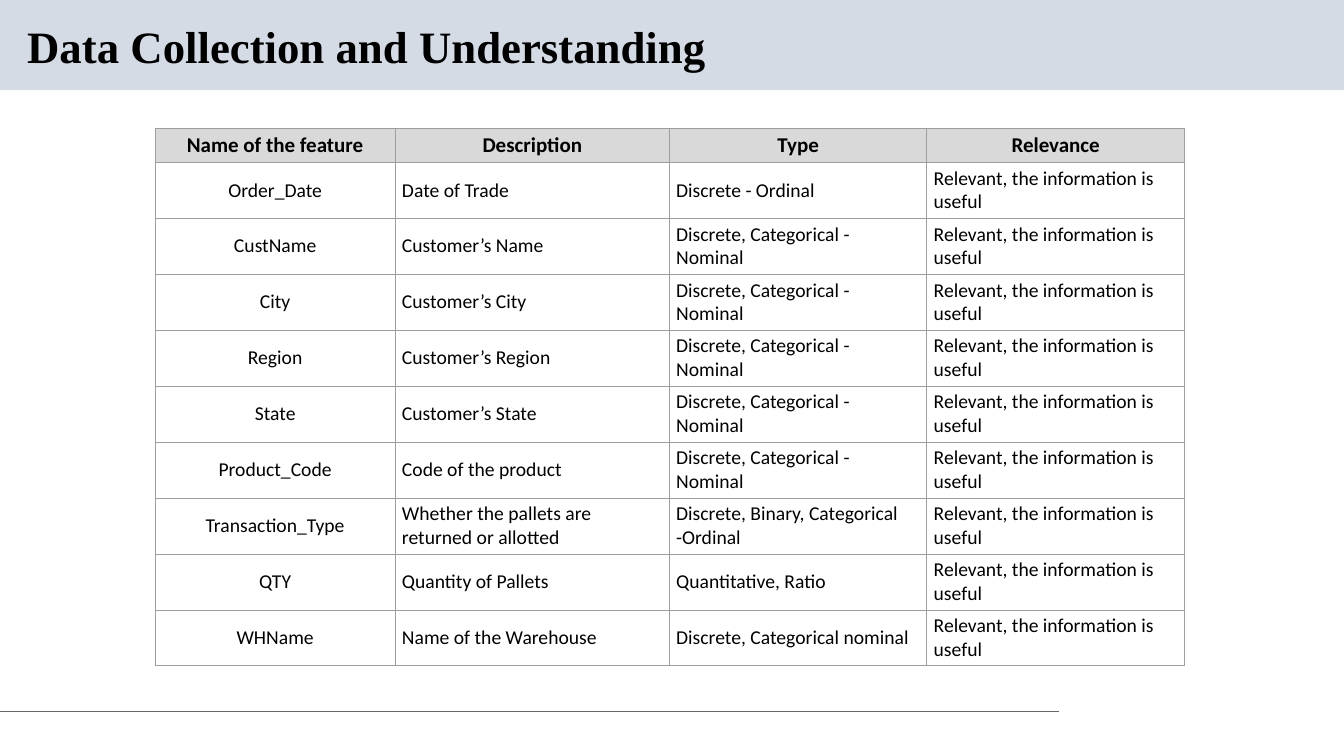
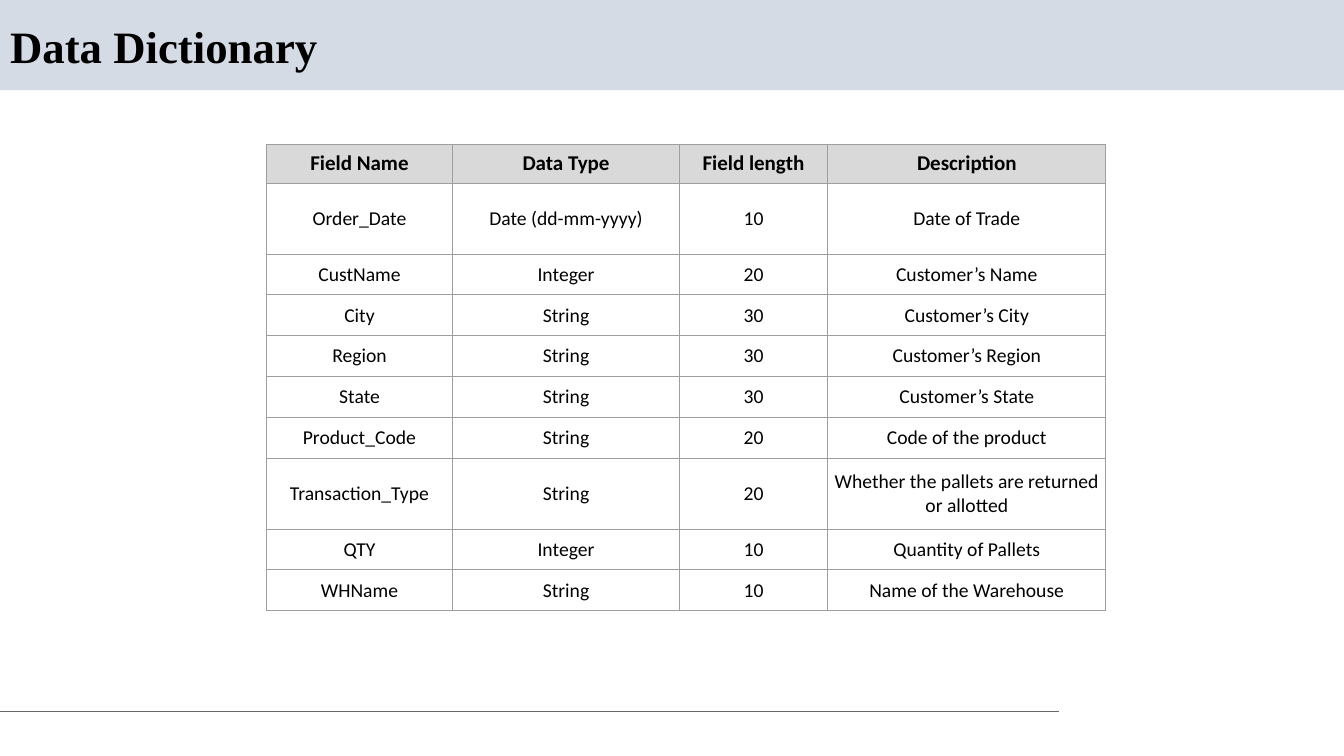
from dataclasses import dataclass

import lxml.etree
import pptx
import pptx.dml.color
import pptx.enum.shapes
import pptx.enum.text
import pptx.oxml.ns
import pptx.presentation
import pptx.slide
import pptx.table
import pptx.text.text
import pptx.util
from pptx.dml.color import RGBColor
from pptx.util import Cm, Pt

BLACK = RGBColor(0x00, 0x00, 0x00)
BAND_BLUE = RGBColor(0xD5, 0xDB, 0xE5)
RULE_GREY = RGBColor(0x66, 0x66, 0x66)
HEADER_GREY = RGBColor(0xD9, 0xD9, 0xD9)
BORDER_GREY = RGBColor(0x9E, 0x9E, 0x9E)

TITLE_FONT = "Times New Roman"
TABLE_FONT = "Calibri"
SLIDE_WIDTH, SLIDE_HEIGHT = Cm(33.87), Cm(19.05)
TITLE_ONLY = 5

CENTER = pptx.enum.text.PP_ALIGN.CENTER
LEFT = pptx.enum.text.PP_ALIGN.LEFT
MIDDLE = pptx.enum.text.MSO_ANCHOR.MIDDLE

RELEVANCE = "Relevant, the information is useful"
NOMINAL = "Discrete, Categorical - Nominal"


@dataclass(frozen=True)
class Feature:
    name: str
    description: str
    scale: str
    data_type: str
    length: int


@dataclass(frozen=True)
class TableSlide:
    title: str
    title_left: float
    left: float
    top: float
    column_widths: list[float]
    row_heights: list[float]
    alignments: list[pptx.enum.text.PP_ALIGN]
    header: list[str]
    rows: list[list[str]]


FEATURES = [
    Feature("Order_Date", "Date of Trade", "Discrete - Ordinal", "Date (dd-mm-yyyy)", 10),
    Feature("CustName", "Customer’s Name", NOMINAL, "Integer", 20),
    Feature("City", "Customer’s City", NOMINAL, "String", 30),
    Feature("Region", "Customer’s Region", NOMINAL, "String", 30),
    Feature("State", "Customer’s State", NOMINAL, "String", 30),
    Feature("Product_Code", "Code of the product", NOMINAL, "String", 20),
    Feature("Transaction_Type", "Whether the pallets are returned or allotted",
            "Discrete, Binary, Categorical -Ordinal", "String", 20),
    Feature("QTY", "Quantity of Pallets", "Quantitative, Ratio", "Integer", 10),
    Feature("WHName", "Name of the Warehouse", "Discrete, Categorical nominal", "String", 10),
]
TALL_FIELDS = {"Order_Date", "Transaction_Type"}

SLIDES = [
    TableSlide(
        title="Data Collection and Understanding",
        title_left=0.43,
        left=3.91,
        top=3.23,
        column_widths=[6.05, 6.91, 6.49, 6.49],
        row_heights=[0.86] + [1.41] * len(FEATURES),
        alignments=[CENTER, LEFT, LEFT, LEFT],
        header=["Name of the feature", "Description", "Type", "Relevance"],
        rows=[[f.name, f.description, f.scale, RELEVANCE] for f in FEATURES],
    ),
    TableSlide(
        title="Data Dictionary",
        title_left=0,
        left=6.71,
        top=3.63,
        column_widths=[4.7, 5.71, 3.74, 7.01],
        row_heights=[0.99] + [1.78 if f.name in TALL_FIELDS else 1.03 for f in FEATURES],
        alignments=[CENTER] * 4,
        header=["Field Name", "Data Type", "Field length", "Description"],
        rows=[[f.name, f.data_type, str(f.length), f.description] for f in FEATURES],
    ),
]


def add_run(paragraph: pptx.text.text._Paragraph, text: str, font_name: str,
            size: float, bold: bool) -> None:
    run = paragraph.add_run()
    run.text = text
    run.font.name = font_name
    run.font.size = Pt(size)
    run.font.bold = bold
    run.font.color.rgb = BLACK


def move_decoration_to_layout(slide: pptx.slide.Slide) -> None:
    """Draw the title band and footer rule, then hand them to the slide's layout."""
    band = slide.shapes.add_shape(
        pptx.enum.shapes.MSO_SHAPE.RECTANGLE, 0, 0, SLIDE_WIDTH, Cm(2.27))
    band.shadow.inherit = False
    band.fill.solid()
    band.fill.fore_color.rgb = BAND_BLUE
    band.line.fill.background()

    rule_y = Cm(17.93)
    footer_rule = slide.shapes.add_connector(
        pptx.enum.shapes.MSO_CONNECTOR.STRAIGHT, 0, rule_y, Cm(26.7), rule_y)
    footer_rule.line.color.rgb = RULE_GREY
    footer_rule.line.width = Pt(0.75)
    lxml.etree.SubElement(footer_rule.element.spPr, pptx.oxml.ns.qn("a:effectLst"))

    layout_tree = slide.slide_layout.shapes.element
    layout_tree.insert(2, band.element)
    layout_tree.insert(3, footer_rule.element)


def set_title(slide: pptx.slide.Slide, text: str, left: float) -> None:
    title = slide.shapes.title
    title.left, title.top = Cm(left), Cm(0.48)
    title.width, title.height = Cm(29.3), Cm(1.5)
    frame = title.text_frame
    frame.word_wrap = True
    frame.auto_size = pptx.enum.text.MSO_AUTO_SIZE.NONE
    frame.vertical_anchor = MIDDLE
    paragraph = frame.paragraphs[0]
    paragraph.alignment = LEFT
    paragraph.line_spacing = 0.9
    add_run(paragraph, text, TITLE_FONT, 32, True)


def set_borders(cell: pptx.table._Cell) -> None:
    properties = cell._tc.get_or_add_tcPr()
    for position, side in enumerate(("lnL", "lnR", "lnT", "lnB")):
        border = lxml.etree.Element(pptx.oxml.ns.qn(f"a:{side}"), w=str(Pt(0.75)))
        fill = lxml.etree.SubElement(border, pptx.oxml.ns.qn("a:solidFill"))
        lxml.etree.SubElement(fill, pptx.oxml.ns.qn("a:srgbClr"), val=str(BORDER_GREY))
        properties.insert(position, border)


def fill_cell(cell: pptx.table._Cell, text: str,
              alignment: pptx.enum.text.PP_ALIGN, is_header: bool) -> None:
    cell.vertical_anchor = MIDDLE
    cell.margin_left = cell.margin_right = Cm(0.17)
    cell.margin_top = cell.margin_bottom = Cm(0.09)
    if is_header:
        cell.fill.solid()
        cell.fill.fore_color.rgb = HEADER_GREY
    else:
        cell.fill.background()
    set_borders(cell)
    paragraph = cell.text_frame.paragraphs[0]
    paragraph.alignment = CENTER if is_header else alignment
    add_run(paragraph, text, TABLE_FONT, 15 if is_header else 14, is_header)


def add_feature_table(slide: pptx.slide.Slide, content: TableSlide) -> None:
    grid = [content.header, *content.rows]
    table = slide.shapes.add_table(
        len(grid), len(content.header), Cm(content.left), Cm(content.top),
        Cm(sum(content.column_widths)), Cm(sum(content.row_heights))).table
    table.first_row = table.horz_banding = False
    for column, width in zip(table.columns, content.column_widths):
        column.width = Cm(width)
    for row_index, (row, height) in enumerate(zip(table.rows, content.row_heights)):
        row.height = Cm(height)
        for cell, text, alignment in zip(row.cells, grid[row_index], content.alignments):
            fill_cell(cell, text, alignment, is_header=row_index == 0)


def main() -> None:
    presentation = pptx.Presentation()
    presentation.slide_width, presentation.slide_height = SLIDE_WIDTH, SLIDE_HEIGHT
    layout = presentation.slide_layouts[TITLE_ONLY]
    for index, content in enumerate(SLIDES):
        slide = presentation.slides.add_slide(layout)
        if index == 0:
            move_decoration_to_layout(slide)
        set_title(slide, content.title, content.title_left)
        add_feature_table(slide, content)
    presentation.save("out.pptx")


if __name__ == "__main__":
    main()
